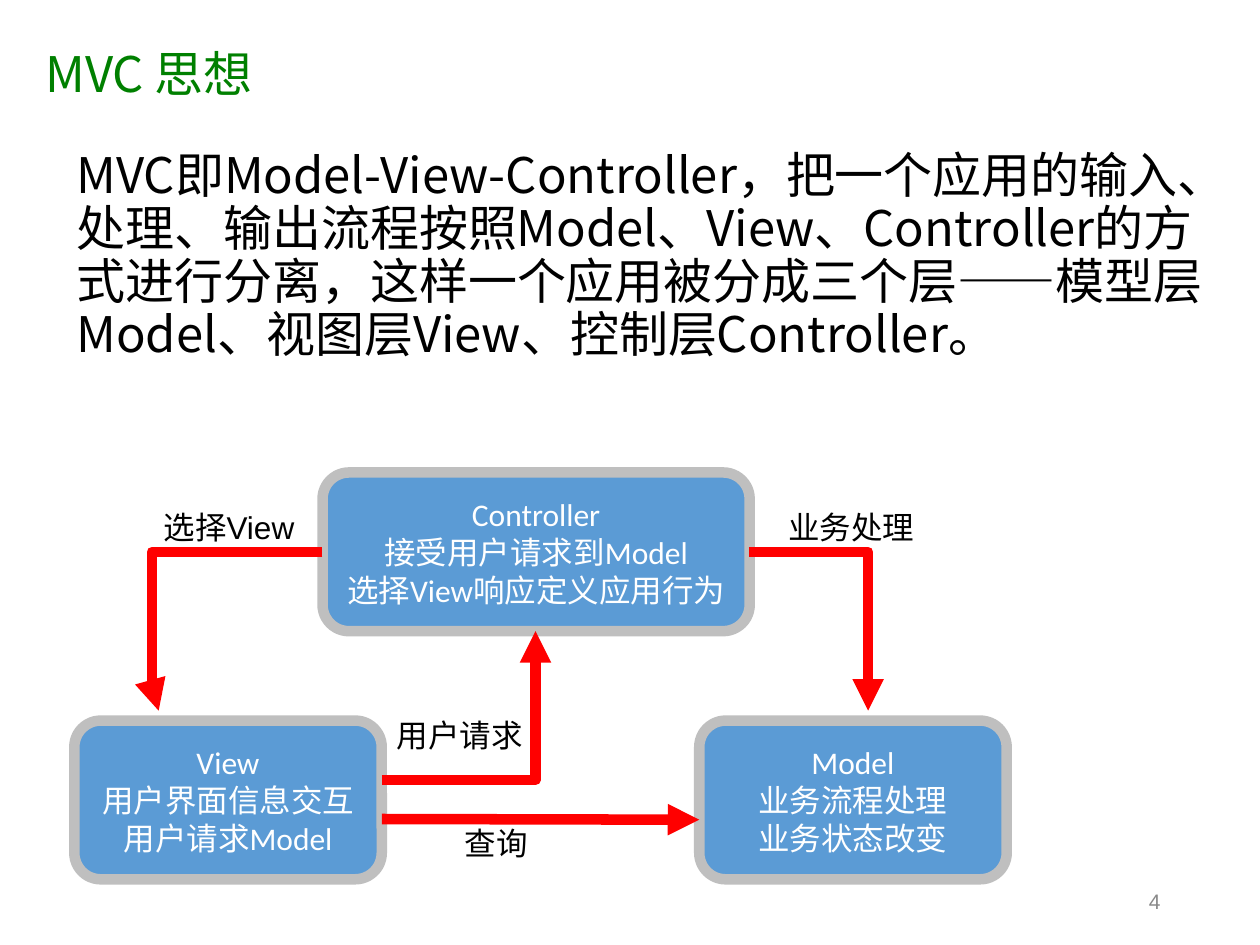
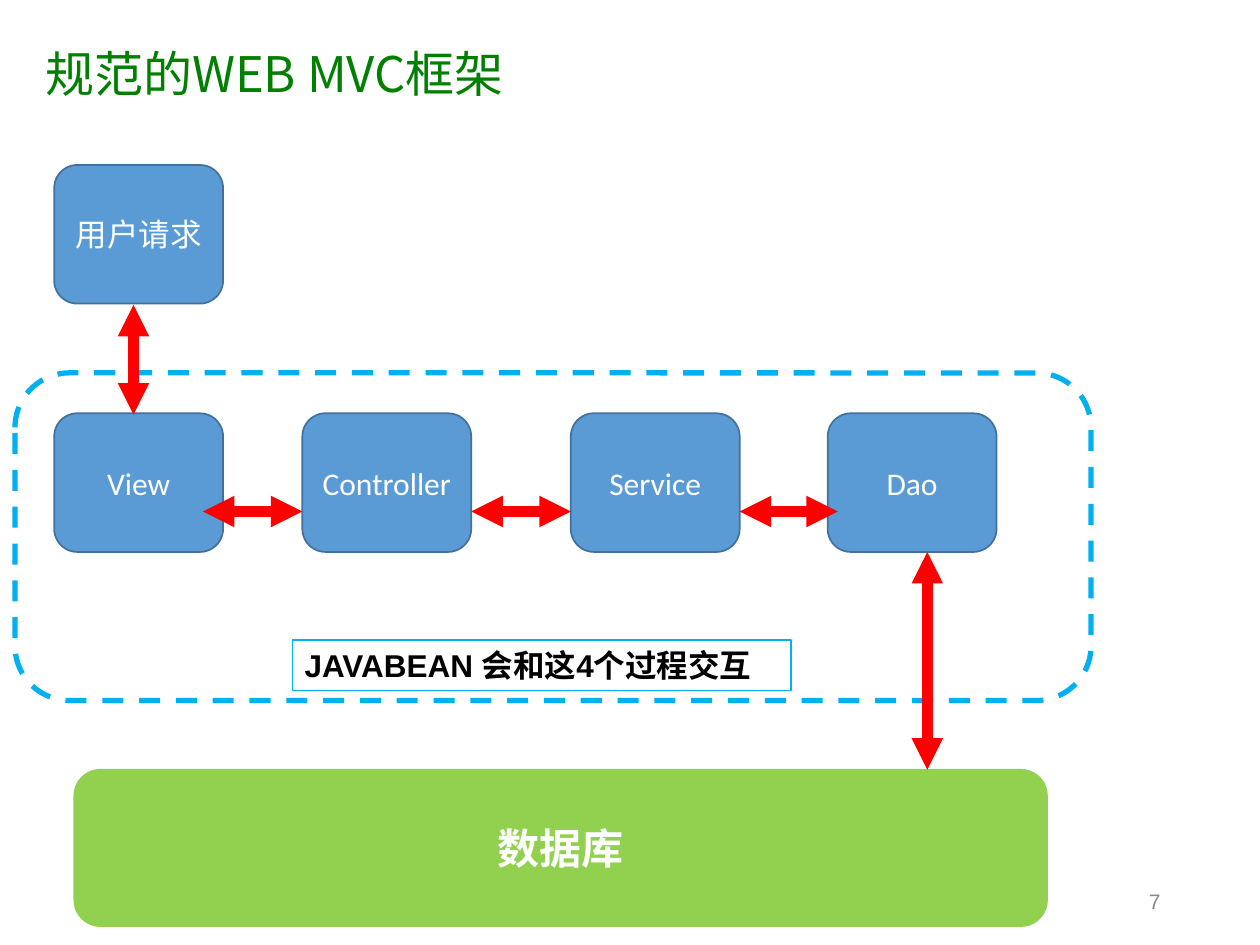
from lxml import etree
from pptx import Presentation
from pptx.dml.color import RGBColor
from pptx.enum.dml import MSO_LINE
from pptx.enum.shapes import MSO_CONNECTOR, MSO_SHAPE
from pptx.enum.text import MSO_ANCHOR, MSO_AUTO_SIZE, PP_ALIGN
from pptx.oxml.ns import qn
from pptx.util import Pt

CJK = "Noto Sans CJK SC"
GREEN, BLACK, WHITE, GREY = "008000", "000000", "FFFFFF", "898989"
BLUE, DARK_BLUE, SILVER = "5B9BD5", "41719C", "BFBFBF"
CYAN, LIME, RED = "00B0F0", "92D050", "FF0000"


def rgb(value):
    return RGBColor.from_string(value)


def write(tf, text, size=18, font="Arial", color=BLACK, bold=False,
          align=PP_ALIGN.LEFT, anchor=MSO_ANCHOR.TOP, wrap=True,
          spacing=None, margins=(7.2, 3.6)):
    """Fill a text frame, one paragraph for each line of text."""
    tf.word_wrap = wrap
    tf.auto_size = MSO_AUTO_SIZE.NONE if wrap else MSO_AUTO_SIZE.SHAPE_TO_FIT_TEXT
    tf.vertical_anchor = anchor
    tf.margin_left = tf.margin_right = Pt(margins[0])
    tf.margin_top = tf.margin_bottom = Pt(margins[1])
    for i, line in enumerate(text.split("\n")):
        p = tf.add_paragraph() if i else tf.paragraphs[0]
        p.alignment = align
        if spacing:
            p.line_spacing = spacing
        r = p.add_run()
        r.text = line
        r.font.size, r.font.bold, r.font.name = Pt(size), bold, font
        r.font.color.rgb = rgb(color)
        etree.SubElement(r.font._element, qn("a:ea"), typeface=CJK)


class Deck:
    def __init__(self):
        self.prs = Presentation()
        self.prs.slide_width, self.prs.slide_height = Pt(720), Pt(540)
        self.s = None

    def slide(self, title, number):
        """Start a slide with its title and page number."""
        self.s = self.prs.slides.add_slide(self.prs.slide_layouts[6])
        self.text(number, 508.3, 500.4, 162, 28.8, size=12, color=GREY,
                  align=PP_ALIGN.RIGHT, anchor=MSO_ANCHOR.MIDDLE)
        self.text(title, 20.2, 21.6, 678.2, 39.6, size=28, font=CJK, color=GREEN,
                  anchor=MSO_ANCHOR.MIDDLE, margins=(5.76, 2.88))

    def text(self, text, x, y, w, h, **fmt):
        box = self.s.shapes.add_textbox(Pt(x), Pt(y), Pt(w), Pt(h))
        write(box.text_frame, text, **fmt)

    def label(self, text, x, y, w):
        self.text(text, x, y, w, 28.8, wrap=False)

    def shape(self, x, y, w, h, line, width, fill=None, kind=MSO_SHAPE.ROUNDED_RECTANGLE):
        sp = self.s.shapes.add_shape(kind, Pt(x), Pt(y), Pt(w), Pt(h))
        sp.shadow.inherit = False
        if fill:
            sp.fill.solid()
            sp.fill.fore_color.rgb = rgb(fill)
        else:
            sp.fill.background()
        sp.line.color.rgb = rgb(line)
        sp.line.width = Pt(width)
        return sp

    def box(self, text, x, y, w, h, line=DARK_BLUE, width=1, fill=BLUE, **fmt):
        """Draw a filled rounded box with centred white text."""
        sp = self.shape(x, y, w, h, line, width, fill)
        write(sp.text_frame, text, font="Calibri", color=WHITE,
              align=PP_ALIGN.CENTER, anchor=MSO_ANCHOR.MIDDLE, **fmt)

    def arrow(self, x1, y1, x2, y2, preset=None, bend=None, both=False):
        """Draw a red arrow; preset names a bent form, bend its turning point."""
        kind = MSO_CONNECTOR.ELBOW if preset else MSO_CONNECTOR.STRAIGHT
        cx = self.s.shapes.add_connector(kind, Pt(x1), Pt(y1), Pt(x2), Pt(y2))
        cx.line.color.rgb = rgb(RED)
        cx.line.width = Pt(6)
        sp_pr = cx._element.spPr
        if preset:
            geom = sp_pr.find(qn("a:prstGeom"))
            geom.set("prst", preset)
            if bend:
                guides = geom.find(qn("a:avLst"))
                if guides is None:
                    guides = etree.SubElement(geom, qn("a:avLst"))
                etree.SubElement(guides, qn("a:gd"), name="adj1", fmla=f"val {bend}")
        ln = sp_pr.find(qn("a:ln"))
        for end in ("headEnd", "tailEnd") if both else ("tailEnd",):
            etree.SubElement(ln, qn(f"a:{end}"), type="triangle")
        etree.SubElement(sp_pr, qn("a:effectLst"))


def mvc_idea(deck):
    deck.slide("MVC 思想", "4")
    deck.text("MVC即Model-View-Controller，把一个应用的输入、处理、输出流程按照"
              "Model、View、Controller的方式进行分离，这样一个应用被分成三个层——"
              "模型层Model、视图层View、控制层Controller。",
              36.7, 82.8, 663.1, 183.6, size=28, font=CJK, spacing=0.9)
    for text, x, y, w in (
            ("Controller\n接受用户请求到Model\n选择View响应定义应用行为", 184.3, 270, 244.1),
            ("View\n用户界面信息交互\n用户请求Model", 42.5, 411.8, 175.7),
            ("Model\n业务流程处理\n业务状态改变", 399.6, 411.8, 175.7)):
        deck.box(text, x, y, w, 90.7, line=SILVER, width=6)
    deck.arrow(218.2, 445.7, 306, 360.7, "bentConnector2")
    deck.arrow(218.2, 468, 399.6, 468.4)
    deck.arrow(428, 315.4, 496.1, 406.1, "bentConnector2")
    deck.arrow(184.3, 315.4, 90.7, 406.1, "bentConnector3", bend=104200)
    deck.label("选择View", 86.4, 286.6, 93.6)
    deck.label("用户请求", 219.6, 405.4, 86.4)
    deck.label("查询", 258.5, 467.3, 50.4)
    deck.label("业务处理", 443.5, 286.6, 86.4)


def web_framework(deck):
    deck.slide("规范的WEB MVC框架", "7")
    layer_y, w, h = 236.2, 96.5, 79.2
    deck.box("用户请求", 31, 94.3, w, h)
    for name, x in (("View", 31), ("Controller", 172.8), ("Service", 326.2), ("Dao", 473)):
        deck.box(name, x, layer_y, w, h)
    frame = deck.shape(8.6, 213.1, 614.9, 187.2, CYAN, 3)
    frame.line.dash_style = MSO_LINE.DASH
    bean = deck.shape(167, 365.8, 285.1, 28.8, CYAN, 0.75, kind=MSO_SHAPE.RECTANGLE)
    write(bean.text_frame, "JAVABEAN 会和这4个过程交互", bold=True, wrap=False)
    deck.box("数据库", 42.5, 439.9, 555.8, 89.3, line=LIME, fill=LIME, size=24, bold=True)
    deck.arrow(529.9, 439.9, 529.9, layer_y + h, both=True)
    deck.arrow(76.3, 236.9, 76.3, 174.2, both=True)
    for x1, x2 in ((115.9, 172.8), (269.3, 326.2), (422.6, 478.8)):
        deck.arrow(x1, 292.3, x2, 292.3, both=True)


def main():
    deck = Deck()
    mvc_idea(deck)
    web_framework(deck)
    deck.prs.save("out.pptx")


if __name__ == "__main__":
    main()
